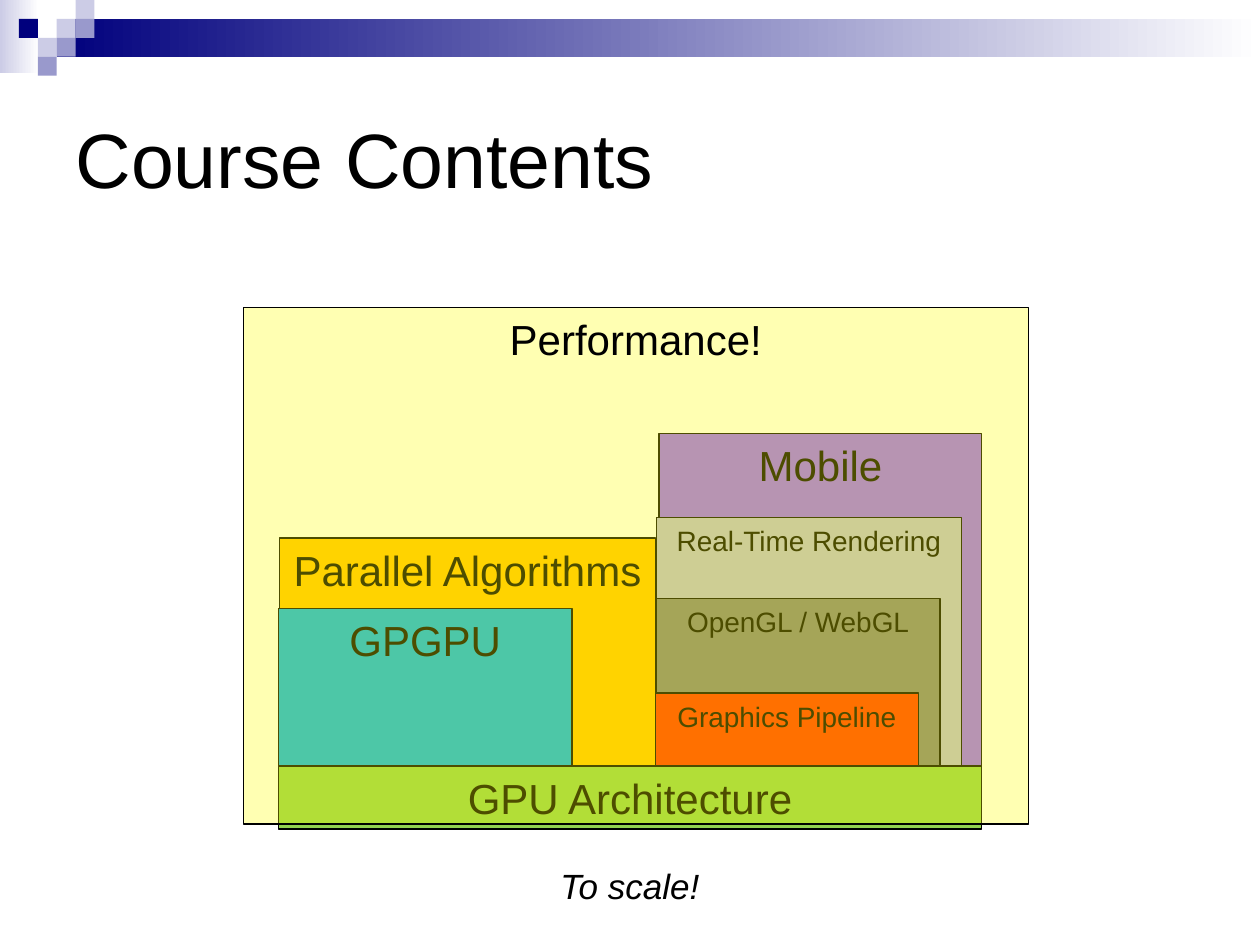
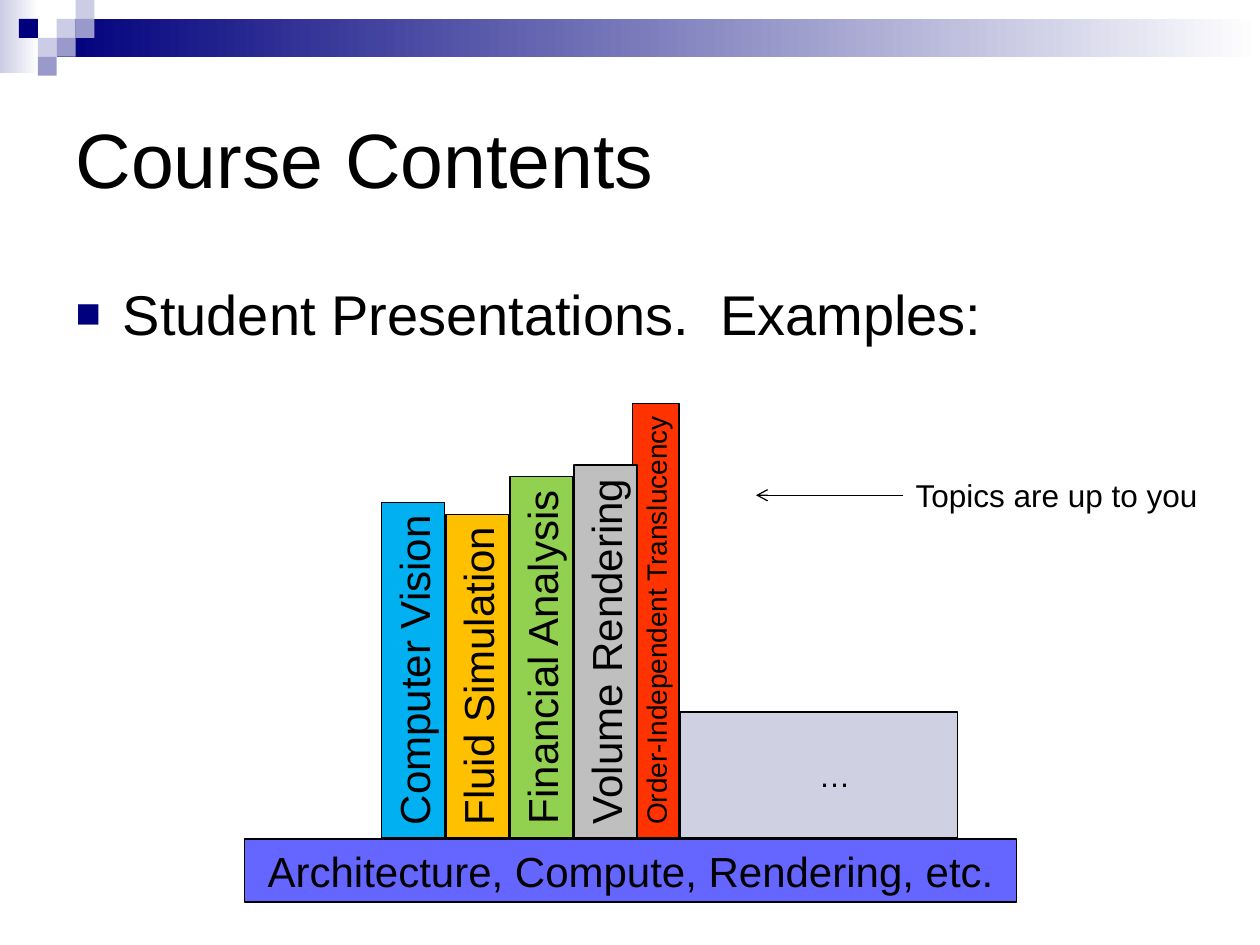
import lxml.etree
import pptx
import pptx.dml.color
import pptx.enum.shapes
import pptx.enum.text
import pptx.oxml.ns
import pptx.util

Pt = pptx.util.Pt
qn = pptx.oxml.ns.qn
Align = pptx.enum.text.PP_ALIGN
Anchor = pptx.enum.text.MSO_ANCHOR

FONT = "Arial"
COLORS = {
    "black": "000000", "white": "FFFFFF", "navy": "00007D",
    "lavender": "CCCCE6", "periwinkle": "9999CC", "violet": "9966FF",
    "mist": "B9B9D5", "gray": "7F7F7F", "red": "FF3300",
    "amber": "FFC000", "sky": "00B0F0", "green": "92D050",
    "yellow": "FFFF00", "blue": "6565FF", "silver": "BFBFBF",
    "haze": "D0D0E3",
}


def rgb(name):
    return pptx.dml.color.RGBColor.from_string(COLORS[name])


def write_text(frame, text, size=24, align=Align.LEFT, anchor=Anchor.TOP,
               italic=False, wrap=True, bullet=None, left_inset=7.2):
    frame.word_wrap = wrap
    frame.vertical_anchor = anchor
    frame.margin_left, frame.margin_right = Pt(left_inset), Pt(7.2)
    frame.margin_top = frame.margin_bottom = Pt(3.6)
    frame.text = text
    paragraph = frame.paragraphs[0]
    if bullet:
        add_bullet(paragraph, bullet)
    paragraph.alignment = align
    paragraph.space_before = Pt(0)
    font = paragraph.runs[0].font
    font.name, font.size, font.italic = FONT, Pt(size), italic
    font.color.rgb = rgb("black")


def add_bullet(paragraph, symbol):
    properties = paragraph._p.get_or_add_pPr()
    properties.set("marL", str(Pt(27)))
    properties.set("indent", str(-Pt(27)))
    color = lxml.etree.SubElement(properties, qn("a:buClr"))
    lxml.etree.SubElement(color, qn("a:srgbClr"), val=COLORS["navy"])
    lxml.etree.SubElement(properties, qn("a:buSzPct"), val="75000")
    lxml.etree.SubElement(properties, qn("a:buFont"), typeface=FONT)
    lxml.etree.SubElement(properties, qn("a:buChar"), char=symbol)


class Deck:
    def __init__(self):
        self.presentation = pptx.Presentation()
        self.presentation.slide_width = Pt(720)
        self.presentation.slide_height = Pt(540)
        self.slide = None

    def add_slide(self, title, layout):
        layouts = self.presentation.slide_layouts
        self.slide = self.presentation.slides.add_slide(layouts.get_by_name(layout))
        self.place(self.slide.shapes.title, 36, 36, 648, 108)
        write_text(self.slide.shapes.title.text_frame, title, size=44,
                   anchor=Anchor.MIDDLE)

    def place(self, shape, left, top, width, height):
        shape.left, shape.top = Pt(left), Pt(top)
        shape.width, shape.height = Pt(width), Pt(height)

    def rectangle(self, left, top, width, height, fill, fade=False, line=None):
        shape = self.slide.shapes.add_shape(
            pptx.enum.shapes.MSO_SHAPE.RECTANGLE,
            Pt(left), Pt(top), Pt(width), Pt(height))
        shape.shadow.inherit = False
        if fade:
            shape.fill.gradient()
            shape.fill.gradient_angle = 0
            for stop, name in zip(shape.fill.gradient_stops, (fill, "white")):
                stop.color.rgb = rgb(name)
        else:
            shape.fill.solid()
            shape.fill.fore_color.rgb = rgb(fill)
        if line:
            shape.line.color.rgb = rgb("black")
            shape.line.width = Pt(line)
        else:
            shape.line.fill.background()
        return shape

    def block(self, text, left, top, width, height, fill, line=0.75,
              opacity=None, align=Align.CENTER, **text_format):
        shape = self.rectangle(left, top, width, height, fill, line=line)
        if opacity:
            color = next(shape.element.iter(qn("a:srgbClr")))
            lxml.etree.SubElement(color, qn("a:alpha"), val=str(opacity * 1000))
        write_text(shape.text_frame, text, align=align, **text_format)
        return shape

    def upright_block(self, text, center, bottom, length, thickness, fill, size):
        shape = self.block(text, center - length / 2,
                           bottom - (length + thickness) / 2,
                           length, thickness, fill, size=size, wrap=False)
        shape.rotation = 270

    def label(self, text, left, top, width, height, **text_format):
        box = self.slide.shapes.add_textbox(
            Pt(left), Pt(top), Pt(width), Pt(height))
        write_text(box.text_frame, text, **text_format)
        return box

    def bullet_line(self, text, left, top, width, height):
        body = self.slide.placeholders[1]
        self.place(body, left, top, width, height)
        write_text(body.text_frame, text, size=32, bullet="■")

    def arrow_from(self, box, length):
        middle = box.top + box.height // 2
        connector = self.slide.shapes.add_connector(
            pptx.enum.shapes.MSO_CONNECTOR.STRAIGHT,
            box.left, middle, box.left - Pt(length), middle)
        connector.begin_connect(box, 1)
        connector.line.color.rgb = rgb("black")
        connector.line.width = Pt(0.75)
        line = connector.line._get_or_add_ln()
        lxml.etree.SubElement(line, qn("a:tailEnd"), type="arrow")
        lxml.etree.SubElement(connector.element.spPr, qn("a:effectLst"))

    def decorate_master(self):
        cell = 10.8
        bands = [
            self.rectangle(0, 0, 22.3, 41.8, "lavender", fade=True),
            self.rectangle(3 * cell, cell, 720 - 3 * cell, 2 * cell, "navy", fade=True),
        ]
        tiles = [
            (3, 1, "lavender"), (4, 0, "lavender"), (4, 1, "periwinkle"),
            (2, 2, "lavender"), (1, 1, "navy"), (3, 2, "periwinkle"),
            (2, 3, "periwinkle"),
        ]
        bands += [self.rectangle(column * cell, row * cell, cell, cell, fill)
                  for column, row, fill in tiles]
        master_tree = self.presentation.slide_master.shapes.element
        for band in bands:
            master_tree.append(band.element)


def build_contents_slide(deck):
    topics = [
        ("Mobile", 376.6, 247.7, 184.4, 208.8, "violet", 24),
        ("Real-Time Rendering", 375.1, 295.9, 174.2, 141.8, "mist", 16),
        ("OpenGL / WebGL", 375.1, 342, 162, 103.7, "gray", 16),
        ("Graphics Pipeline", 374.4, 396, 150.5, 46.1, "red", 16),
        ("Parallel Algorithms", 159.8, 307.4, 214.6, 151.2, "amber", 24),
        ("GPGPU", 159.1, 347.8, 167.8, 93.6, "sky", 24),
        ("GPU Architecture", 159.1, 437.8, 401.8, 36, "green", 24),
    ]
    for text, left, top, width, height, fill, size in topics:
        deck.block(text, left, top, width, height, fill, size=size, wrap=False)
    deck.label("To scale!", 0, 490.3, 720, 31.7, size=20,
               align=Align.CENTER, italic=True)
    deck.block("Performance!", 139, 175.7, 448.6, 295.2, "yellow", opacity=30)


def build_examples_slide(deck):
    deck.bullet_line("Student Presentations.  Examples:", 36, 156.2, 648, 54)
    deck.block("Architecture, Compute, Rendering, etc.",
               139.7, 479.5, 441.4, 36, "blue", wrap=False)
    base = 478.8
    first_center, pitch = 236.2, 36.6
    deck.upright_block("Order-Independent Translucency", 374.8, base,
                       248.4, 26.6, "red", 16)
    examples = [
        ("Computer Vision", 191.5, "sky"),
        ("Fluid Simulation", 185, "amber"),
        ("Financial Analysis", 206.6, "green"),
        ("Volume Rendering", 213.1, "silver"),
    ]
    for index, (text, length, fill) in enumerate(examples):
        deck.upright_block(text, first_center + index * pitch, base,
                           length, 36, fill, 24)
    deck.block("…", 388.8, 406.8, 158.4, 72, "haze", line=1, size=18,
               align=Align.LEFT, anchor=Anchor.MIDDLE, left_inset=79.2)
    note = deck.label("Topics are up to you", 516.2, 268.6, 177.1, 28.8,
                      size=18, wrap=False)
    deck.arrow_from(note, 84.2)


def main():
    deck = Deck()
    deck.add_slide("Course Contents", "Title Only")
    deck.decorate_master()
    build_contents_slide(deck)
    deck.add_slide("Course Contents", "Title and Content")
    build_examples_slide(deck)
    deck.presentation.save("out.pptx")


if __name__ == "__main__":
    main()
